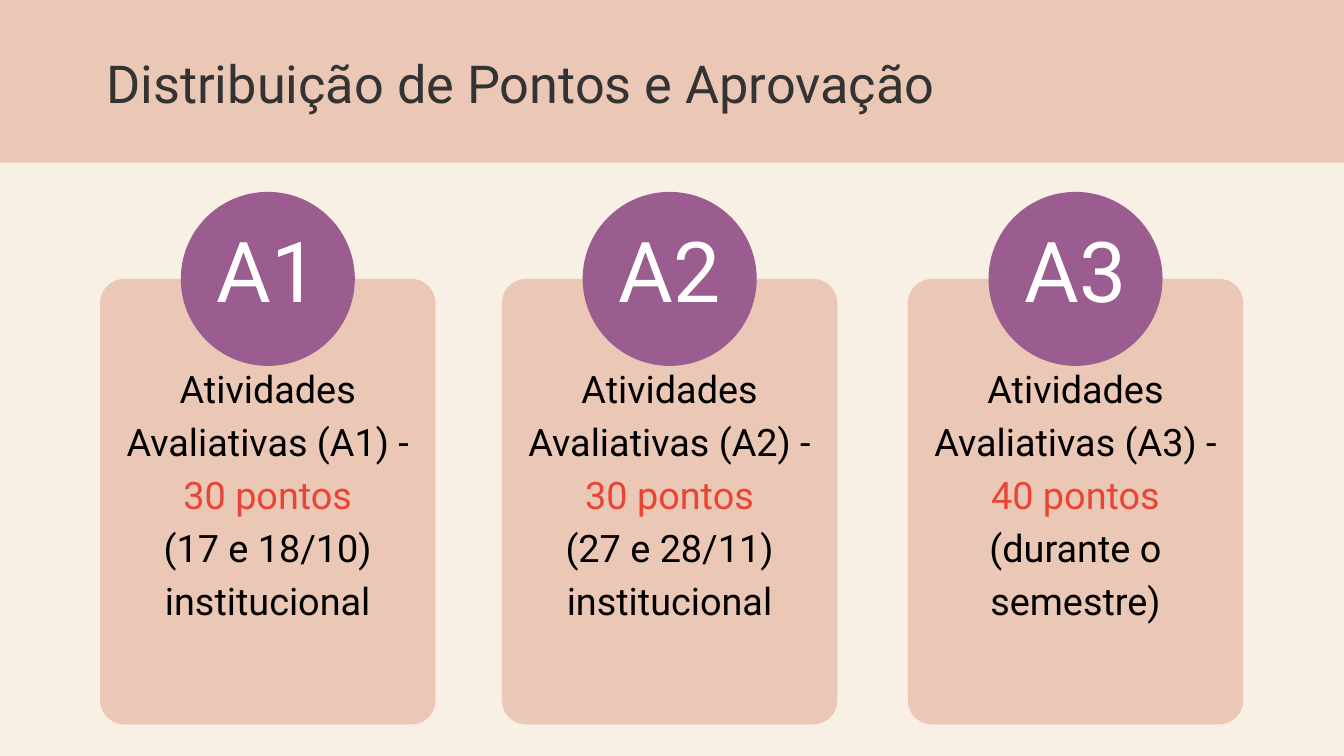
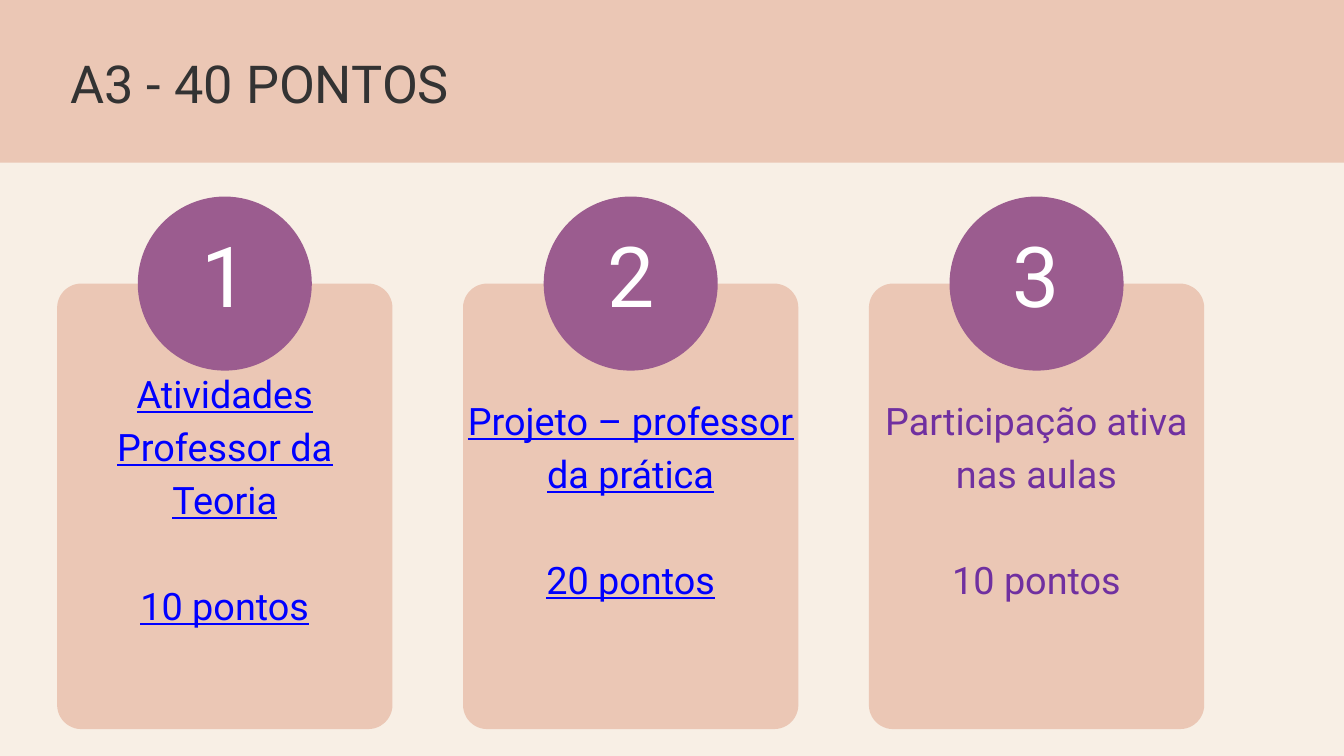
from pptx import Presentation
from pptx.dml.color import RGBColor
from pptx.enum.shapes import MSO_SHAPE
from pptx.enum.text import MSO_ANCHOR, PP_ALIGN
from pptx.util import Inches, Pt

CREAM = RGBColor(0xF8, 0xEF, 0xE5)
PEACH = RGBColor(0xEB, 0xC7, 0xB5)
PLUM = RGBColor(0x9B, 0x5C, 0x8F)
DARK = RGBColor(0x33, 0x33, 0x33)
BLACK = RGBColor(0, 0, 0)
WHITE = RGBColor(0xFF, 0xFF, 0xFF)
RED = RGBColor(0xEA, 0x44, 0x35)
BLUE = RGBColor(0, 0, 0xFF)
VIOLET = RGBColor(0x70, 0x30, 0xA0)

# Text formats
TITLE = dict(name="Roboto", size=Pt(56), color=DARK)
BADGE = dict(name="Roboto", size=Pt(90), color=WHITE)
BODY = dict(name="Roboto", size=Pt(40.5), color=BLACK)
POINTS = BODY | dict(color=RED)
LINKED = BODY | dict(color=BLUE, underline=True)
ACTIVE = BODY | dict(color=VIOLET)

TITLE_LINE, BADGE_LINE, BODY_LINE = Pt(78.4), Pt(126), Pt(56.8)

# Each card: badge, then paragraphs made of (text, format) runs
SLIDES = [
    dict(title="Distribuição de Pontos e Aprovação", align=PP_ALIGN.CENTER,
         lefts=[1.49, 7.47, 13.51], card_top=4.15, gap=0, cards=[
             ("A1", [[("Atividades Avaliativas (A1) - ", BODY), ("30 pontos", POINTS)],
                     [("(17 e 18/10)", BODY)], [("institucional", BODY)]]),
             ("A2", [[("Atividades Avaliativas (A2) - ", BODY), ("30 pontos", POINTS)],
                     [("(27 e 28/11)", BODY)], [("institucional", BODY)]]),
             ("A3", [[("Atividades Avaliativas (A3) - ", BODY), ("40 pontos", POINTS)],
                     [("(durante o semestre)", BODY)]]),
         ]),
    dict(title="A3 - 40 PONTOS", align=PP_ALIGN.LEFT,
         lefts=[0.85 + 6.04 * i for i in range(3)], card_top=4.22, gap=BODY_LINE, cards=[
             ("1", [[("Atividades Professor da Teoria", LINKED)], [("10 pontos", LINKED)]]),
             ("2", [[("Projeto – professor da prática", LINKED)], [("20 pontos", LINKED)]]),
             ("3", [[("Participação ativa nas aulas", ACTIVE)], [("10 pontos", ACTIVE)]]),
         ]),
]

CARD_W, CARD_H, CORNER = 4.99, 6.63, 0.36
CIRCLE = 2.59
BADGE_W, BADGE_H = 2.11, 2.65
TEXT_RISE = 0.32  # how far the card text box starts above its card


def add_shape(s, kind, x, y, w, h, color):
    sp = s.shapes.add_shape(kind, Inches(x), Inches(y), Inches(w), Inches(h))
    sp.shadow.inherit = False
    sp.fill.solid()
    sp.fill.fore_color.rgb = color
    sp.line.fill.background()
    return sp


def add_text(s, x, y, w, h, paragraphs, line, align=PP_ALIGN.CENTER,
             anchor=MSO_ANCHOR.MIDDLE, inset=0.06, gap=0):
    tf = s.shapes.add_textbox(Inches(x), Inches(y), Inches(w), Inches(h)).text_frame
    tf.word_wrap = True
    tf.vertical_anchor = anchor
    for side in ("left", "top", "right", "bottom"):
        setattr(tf, f"margin_{side}", Inches(inset))
    for i, runs in enumerate(paragraphs):
        p = tf.add_paragraph() if i else tf.paragraphs[0]
        p.alignment = align
        p.line_spacing = line
        if i and gap:
            p.space_before = gap
        for text, style in runs:
            r = p.add_run()
            r.text = text
            for key, value in style.items():
                if key == "color":
                    r.font.color.rgb = value
                else:
                    setattr(r.font, key, value)


def add_card(s, left, top, badge, paragraphs, gap):
    card = add_shape(s, MSO_SHAPE.ROUNDED_RECTANGLE, left, top, CARD_W, CARD_H, PEACH)
    card.adjustments[0] = CORNER / CARD_W
    add_text(s, left, top - TEXT_RISE, CARD_W, CARD_H + TEXT_RISE, paragraphs,
             BODY_LINE, gap=gap)
    # Badge circle centred on the card's top edge
    center = left + CARD_W / 2
    circle_top = top - CIRCLE / 2
    add_shape(s, MSO_SHAPE.OVAL, center - CIRCLE / 2, circle_top, CIRCLE, CIRCLE, PLUM)
    add_text(s, center - BADGE_W / 2, circle_top - 0.3, BADGE_W, BADGE_H,
             [[(badge, BADGE)]], BADGE_LINE)


def main():
    prs = Presentation()
    prs.slide_width, prs.slide_height = Inches(20), Inches(11.25)
    for page in SLIDES:
        s = prs.slides.add_slide(prs.slide_layouts[6])
        s.background.fill.solid()
        s.background.fill.fore_color.rgb = CREAM
        # Title band
        add_shape(s, MSO_SHAPE.RECTANGLE, 0, 0, 20, 2.42, PEACH)
        add_text(s, 1.05, 0.6, 13.4, 1.07, [[(page["title"], TITLE)]], TITLE_LINE,
                 page["align"], MSO_ANCHOR.TOP, inset=0)
        # Cards
        for left, (badge, paragraphs) in zip(page["lefts"], page["cards"]):
            add_card(s, left, page["card_top"], badge, paragraphs, page["gap"])
    prs.save("out.pptx")


if __name__ == "__main__":
    main()
